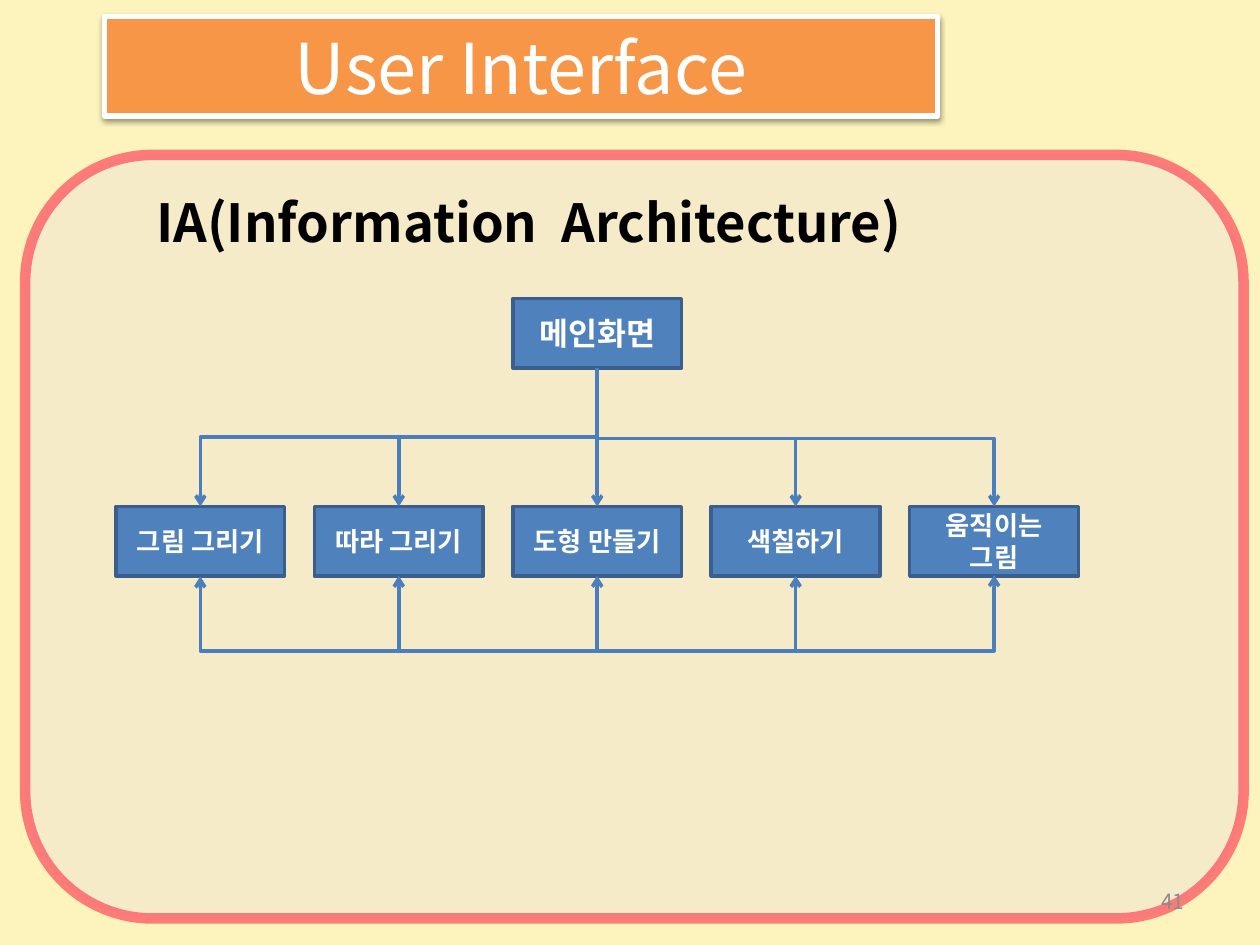
from lxml.etree import SubElement
from pptx import Presentation
from pptx.dml.color import RGBColor
from pptx.enum.shapes import MSO_CONNECTOR, MSO_SHAPE
from pptx.enum.text import MSO_ANCHOR, MSO_AUTO_SIZE, PP_ALIGN
from pptx.oxml import parse_xml
from pptx.oxml.ns import nsdecls, qn
from pptx.util import Inches, Pt

FONT = "Noto Sans CJK KR"
CREAM = RGBColor(0xFC, 0xF4, 0xBC)
SAND = RGBColor(0xF2, 0xE5, 0xD4)
RED = RGBColor(0xFF, 0x1C, 0x3D)
ORANGE = RGBColor(0xF7, 0x96, 0x46)
WHITE = RGBColor(0xFF, 0xFF, 0xFF)
BLACK = RGBColor(0x00, 0x00, 0x00)
GRAY = RGBColor(0x8C, 0x8C, 0x8C)
BLUE = RGBColor(0x4F, 0x81, 0xBD)
DARK_BLUE = RGBColor(0x3A, 0x5F, 0x8C)
LINE_BLUE = RGBColor(0x4B, 0x7E, 0xBC)

# Grid of the diagram, in inches
BOX_WIDTH, BOX_HEIGHT = 1.34, 0.55
FIRST_CENTER, COLUMN_STEP = 1.59, 1.575
CENTERS = [FIRST_CENTER + column * COLUMN_STEP for column in range(5)]
MIDDLE = CENTERS[2]
MAIN_TOP, MENU_TOP = 2.37, 4.02
MAIN_BOTTOM, MENU_BOTTOM = MAIN_TOP + BOX_HEIGHT, MENU_TOP + BOX_HEIGHT
UPPER_BUS, LOWER_BUS = 3.48, 5.17


def write(shape, text, size, color, bold=False, align=PP_ALIGN.CENTER, anchor=MSO_ANCHOR.MIDDLE):
    frame = shape.text_frame
    frame.word_wrap = True
    frame.auto_size = MSO_AUTO_SIZE.NONE
    frame.vertical_anchor = anchor
    frame.text = text
    for paragraph in frame.paragraphs:
        paragraph.alignment = align
        for run in paragraph.runs:
            run.font.name = FONT
            run.font.size = Pt(size)
            run.font.bold = bold
            run.font.color.rgb = color
            SubElement(run._r.get_or_add_rPr(), qn("a:ea"), typeface=FONT)


def connect(kind, start, end, arrows=("tailEnd",)):
    connector = slide.shapes.add_connector(kind, *(Inches(value) for value in start + end))
    connector.line.color.rgb = LINE_BLUE
    connector.line.width = Pt(2)
    for arrow in arrows:
        SubElement(connector.line._get_or_add_ln(), qn(f"a:{arrow}"), type="arrow")
    SubElement(connector._element.spPr, qn("a:effectLst"))
    return connector


presentation = Presentation()
presentation.slide_width, presentation.slide_height = Inches(10), Inches(7.5)
slide = presentation.slides.add_slide(presentation.slide_layouts[5])
slide.background.fill.solid()
slide.background.fill.fore_color.rgb = CREAM

# Title banner
title = slide.shapes.title
title.left, title.top, title.width, title.height = (Inches(v) for v in (0.83, 0.13, 6.61, 0.79))
title_properties = title._element.spPr
SubElement(SubElement(title_properties, qn("a:prstGeom"), prst="roundRect"), qn("a:avLst"))
title.fill.solid()
title.fill.fore_color.rgb = ORANGE
title.line.color.rgb = WHITE
title.line.width = Pt(3)
title_properties.append(parse_xml(
    f'<a:effectLst {nsdecls("a")}><a:outerShdw blurRad="{Pt(3.1)}" dist="{Pt(1.6)}" dir="5400000" '
    'rotWithShape="0"><a:srgbClr val="000000"><a:alpha val="38000"/></a:srgbClr>'
    '</a:outerShdw></a:effectLst>'))
write(title, "User Interface", 40, WHITE)

# Translucent panel
panel = slide.shapes.add_shape(
    MSO_SHAPE.ROUNDED_RECTANGLE, Inches(0.2), Inches(1.23), Inches(9.67), Inches(6.06))
panel.shadow.inherit = False
panel.fill.solid()
panel.fill.fore_color.rgb = SAND
panel.line.color.rgb = RED
panel.line.width = Pt(6)
for color in panel._element.spPr.iter(qn("a:srgbClr")):
    SubElement(color, qn("a:alpha"), val="54000")

number = slide.shapes.add_textbox(Inches(7.17), Inches(6.95), Inches(2.33), Inches(0.4))
write(number, "41", 12, GRAY, align=PP_ALIGN.RIGHT)
heading = slide.shapes.add_textbox(Inches(1.14), Inches(1.46), Inches(7.42), Inches(0.61))
write(heading, "IA(Information  Architecture)", 30, BLACK, bold=True,
      align=PP_ALIGN.LEFT, anchor=MSO_ANCHOR.TOP)

# Main screen, then the five menus
menus = ["그림 그리기", "따라 그리기", "도형 만들기", "색칠하기", "움직이는\n그림"]
screens = [("메인화면", MIDDLE, MAIN_TOP, 18)]
screens += [(menu, center, MENU_TOP, 15) for menu, center in zip(menus, CENTERS)]
boxes = []
for label, center, top, size in screens:
    box = slide.shapes.add_shape(MSO_SHAPE.RECTANGLE, Inches(center - BOX_WIDTH / 2), Inches(top),
                                 Inches(BOX_WIDTH), Inches(BOX_HEIGHT))
    box.shadow.inherit = False
    box.fill.solid()
    box.fill.fore_color.rgb = BLUE
    box.line.color.rgb = DARK_BLUE
    box.line.width = Pt(2)
    write(box, label, size, WHITE, bold=True)
    boxes.append(box)

# Straight arrows from both buses to the three inner menus
for center, box in list(zip(CENTERS, boxes[1:]))[1:4]:
    for bus, edge, site in ((UPPER_BUS, MENU_TOP, 0), (LOWER_BUS, MENU_BOTTOM, 2)):
        arrow = connect(MSO_CONNECTOR.STRAIGHT, (center, bus), (center, edge))
        arrow.end_connect(box, site)

# Elbow from the main screen to the first menu, turned a quarter
drop, span = MENU_TOP - MAIN_BOTTOM, MIDDLE - CENTERS[0]
middle_x, middle_y = (MIDDLE + CENTERS[0]) / 2, (MENU_TOP + MAIN_BOTTOM) / 2
left_elbow = connect(MSO_CONNECTOR.ELBOW, (middle_x - drop / 2, middle_y - span / 2),
                     (middle_x + drop / 2, middle_y + span / 2))
left_elbow._element.spPr.xfrm.set("rot", "5400000")

# Elbow along the upper bus to the last menu
right_elbow = connect(MSO_CONNECTOR.ELBOW, (MIDDLE, UPPER_BUS), (CENTERS[4], MENU_TOP))
right_elbow._element.spPr.find(qn("a:prstGeom")).set("prst", "bentConnector2")

# Lower bus between the outer menus, with its bend far outside its thin frame
thin, span = 0.01, CENTERS[4] - CENTERS[0]
lower_bus = connect(MSO_CONNECTOR.ELBOW, (MIDDLE + thin / 2, MENU_BOTTOM + span / 2),
                    (MIDDLE - thin / 2, MENU_BOTTOM - span / 2), arrows=("headEnd", "tailEnd"))
lower_bus._element.spPr.xfrm.set("rot", "5400000")
bend = round(-(LOWER_BUS - MENU_BOTTOM) / thin * 100000)
adjustments = lower_bus._element.spPr.find(qn("a:prstGeom")).find(qn("a:avLst"))
SubElement(adjustments, qn("a:gd"), name="adj1", fmla=f"val {bend}")

presentation.save("out.pptx")
